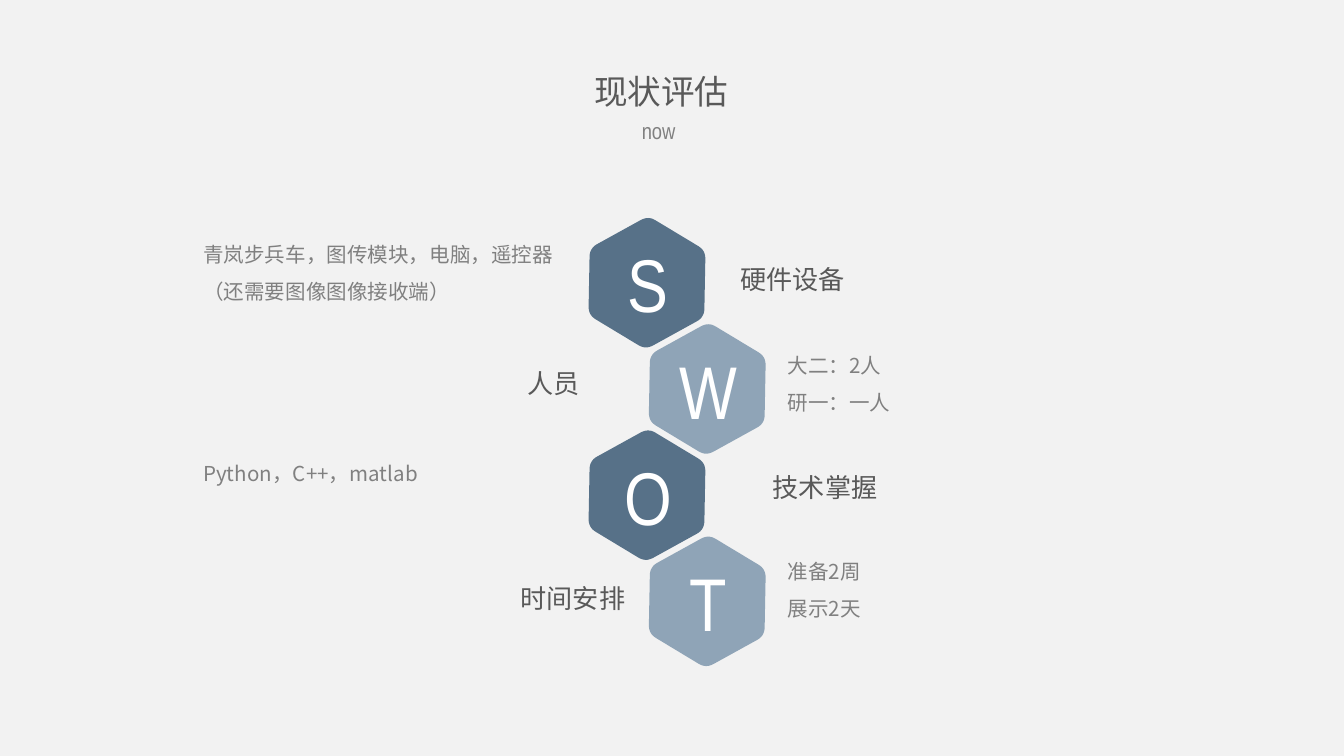
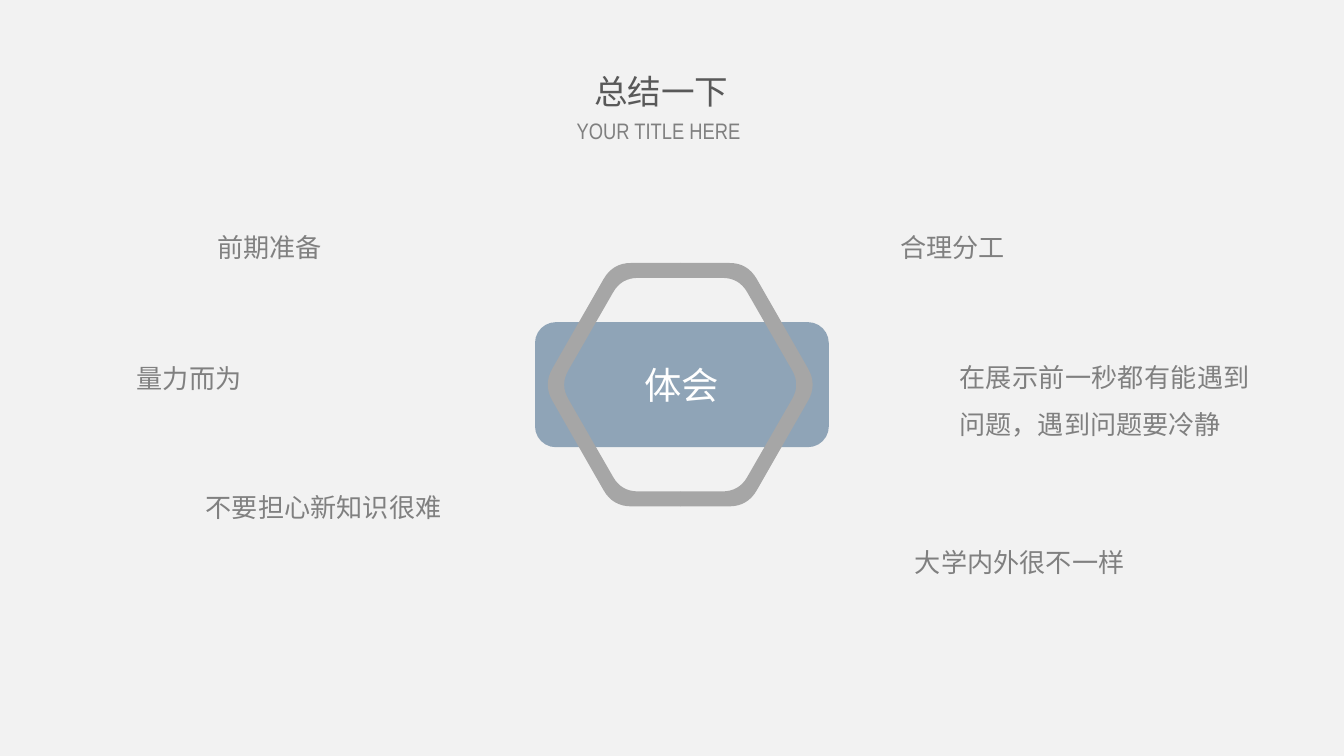
import math

import pptx
import pptx.dml.color
import pptx.enum.shapes
import pptx.enum.text
import pptx.oxml.ns
import pptx.util
from lxml import etree

Pt = pptx.util.Pt
RGB = pptx.dml.color.RGBColor
ALIGN = pptx.enum.text.PP_ALIGN
ANCHOR = pptx.enum.text.MSO_ANCHOR
AUTO_SIZE = pptx.enum.text.MSO_AUTO_SIZE

PAPER = RGB(0xF2, 0xF2, 0xF2)
WHITE = RGB(0xFF, 0xFF, 0xFF)
DEEP_BLUE = RGB(0x57, 0x71, 0x88)
PALE_BLUE = RGB(0x8F, 0xA4, 0xB7)
RING_GREY = RGB(0xA6, 0xA6, 0xA6)
DARK_TEXT = RGB(0x59, 0x59, 0x59)
GREY_TEXT = RGB(0x80, 0x80, 0x80)

CJK = "Noto Sans CJK SC"
LATIN = "Arial"
NARROW = "Arial Narrow"

# Text styles: font name, size, colour, alignment, line spacing
TITLE = (LATIN, 18, DARK_TEXT, ALIGN.CENTER, 1)
SUBTITLE = (NARROW, 12, GREY_TEXT, ALIGN.CENTER, 1)
LETTER = (NARROW, 40, WHITE, ALIGN.CENTER, 1)
HEADING = (CJK, 14, DARK_TEXT, ALIGN.CENTER, 1)
DETAIL = (CJK, 11, GREY_TEXT, ALIGN.LEFT, 1.5)
LESSON = (LATIN, 14, GREY_TEXT, ALIGN.JUSTIFY, 1.5)
CORE = (LATIN, 20, WHITE, ALIGN.CENTER, 1)


def set_format(target, values):
    for attribute, value in values.items():
        setattr(target, attribute, value)


def place(part, box):
    set_format(part, dict(zip(("left", "top", "width", "height"), map(Pt, box))))


def write(part, text, style, anchor=ANCHOR.TOP, auto_size=AUTO_SIZE.SHAPE_TO_FIT_TEXT):
    """Fill a part with one styled paragraph per line of text."""
    name, size, colour, alignment, spacing = style
    frame = part.text_frame
    frame.text = text
    set_format(frame, {
        "word_wrap": True, "auto_size": auto_size, "vertical_anchor": anchor,
        "margin_left": Pt(7.2), "margin_right": Pt(7.2),
        "margin_top": Pt(3.6), "margin_bottom": Pt(3.6),
    })
    for paragraph in frame.paragraphs:
        set_format(paragraph, {"alignment": alignment, "line_spacing": spacing,
                               "space_before": Pt(0), "space_after": Pt(0)})
        for run in paragraph.runs:
            set_format(run.font, {"name": name, "size": Pt(size), "bold": False})
            run.font.color.rgb = colour
            east_asian = etree.SubElement(run.font._element, pptx.oxml.ns.qn("a:ea"))
            east_asian.set("typeface", CJK)


def add_text(shapes, box, text, style):
    write(shapes.add_textbox(*map(Pt, box)), text, style)


def paint(part, colour):
    part.shadow.inherit = False
    part.fill.solid()
    part.fill.fore_color.rgb = colour
    part.line.fill.background()


def rounded_outline(corners, steps=8):
    """Points of a closed outline whose (x, y, cut) corners become short curves."""
    points = []
    for i, (x, y, cut) in enumerate(corners):
        if not cut:
            points.append((x, y))
            continue
        ends = []
        for near_x, near_y, _ in (corners[i - 1], corners[(i + 1) % len(corners)]):
            share = cut / math.hypot(near_x - x, near_y - y)
            ends.append((x + (near_x - x) * share, y + (near_y - y) * share))
        (x0, y0), (x1, y1) = ends
        for step in range(steps + 1):
            t = step / steps
            a, b, c = (1 - t) ** 2, 2 * t * (1 - t), t ** 2
            points.append((a * x0 + b * x + c * x1, a * y0 + b * y + c * y1))
    return points


def add_outline(shapes, centre, corners, colour):
    start, *rest = [(Pt(x), Pt(y)) for x, y in rounded_outline(corners)]
    builder = shapes.build_freeform(*start, scale=1.0)
    builder.add_line_segments(rest, close=True)
    outline = builder.convert_to_shape(*map(Pt, centre))
    paint(outline, colour)
    return outline


def add_titled_slide(deck, title, subtitle, title_font):
    slide = deck.slides.add_slide(deck.slide_layouts[0])
    heading, caption = slide.placeholders
    place(heading, (273.6, 34.6, 161.3, 28.8))
    write(heading, title, (title_font,) + TITLE[1:])
    place(caption, (301, 59, 103.7, 21.6))
    write(caption, subtitle, SUBTITLE)
    return slide


def add_hexagon_badge(slide, centre, letter, colour):
    x, y = centre
    radius, cut = 35.8, 4.5
    corners = [(radius * math.cos(math.radians(angle)),
                radius * math.sin(math.radians(angle)), cut)
               for angle in range(0, 360, 60)]
    badge = slide.shapes.add_group_shape().shapes
    add_outline(badge, centre, corners, colour).rotation = 31.1
    add_text(badge, (x - 31.2, y - 27.4, 63.4, 55.4), letter, LETTER)


def add_swot_column(slide, left, top):
    """Zigzag of badges; left and top give the first badge's centre."""
    for i, letter in enumerate("SWOT"):
        shift = i % 2
        add_hexagon_badge(slide, (left + 32.3 * shift, top + 56.9 * i), letter,
                          PALE_BLUE if shift else DEEP_BLUE)


def add_core_ring(slide, box, text):
    left, top, width, height = box
    core = slide.shapes.add_shape(
        pptx.enum.shapes.MSO_SHAPE.ROUNDED_RECTANGLE, *map(Pt, box))
    paint(core, PALE_BLUE)
    write(core, text, CORE, ANCHOR.MIDDLE, AUTO_SIZE.NONE)

    def half_edge(side, tip, shoulder, rise, cut):
        return [(0, -rise, 0), (side * shoulder, -rise, cut), (side * tip, 0, cut),
                (side * shoulder, rise, cut), (0, rise, 0)]

    centre = (left + width / 2 - 0.9, top + height / 2)
    for side in (-1, 1):
        outer = half_edge(side, 73.4, 36.1, 65.2, 9.9)
        inner = half_edge(side, 64.4, 31.5, 57.2, 8.9)
        add_outline(slide.shapes, centre, outer + inner[::-1], RING_GREY)


def build_assessment(deck):
    slide = add_titled_slide(deck, "现状评估", "now", LATIN)
    add_swot_column(slide, 346.6, 151.5)
    headings = (
        ((372.4, 137.5, 104.4, 24.5), "硬件设备"),
        ((236.9, 193.4, 119.5, 24.5), "人员"),
        ((373.7, 249.1, 136.8, 24.5), "技术掌握"),
        ((247.2, 308.6, 119.5, 24.5), "时间安排"),
    )
    for box, text in headings:
        add_text(slide.shapes, box, text, HEADING)
    left_column, right_column, width = 101.8, 414.9, 219.6
    details = (
        (right_column, 178.9, 44.6, "大二：2人\n研一：一人"),
        (right_column, 289.4, 44.6, "准备2周\n展示2天"),
        (left_column, 236.9, 25.2, "Python，C++，matlab"),
        (left_column, 119.5, 44.6,
         "青岚步兵车，图传模块，电脑，遥控器（还需要图像图像接收端）"),
    )
    for left, top, height, text in details:
        add_text(slide.shapes, (left, top, width, height), text, DETAIL)


def build_summary(deck):
    slide = add_titled_slide(deck, "总结一下", "YOUR TITLE HERE", CJK)
    add_core_ring(slide, (286.6, 172.6, 157.4, 67), "体会")
    lessons = (
        (475.2, 111.9, 29.5, "合理分工"),
        (109.4, 111.9, 29.5, "前期准备"),
        (66.2, 182.2, 29.5, "量力而为"),
        (103.2, 251.3, 29.5, "不要担心新知识很难"),
        (506.9, 181.7, 55.4, "在展示前一秒都有能遇到问题，遇到问题要冷静"),
        (483.1, 280.8, 29.5, "大学内外很不一样"),
    )
    for left, top, height, text in lessons:
        add_text(slide.shapes, (left, top, 169.9, height), text, LESSON)


def main():
    deck = pptx.Presentation()
    set_format(deck, {"slide_width": Pt(720), "slide_height": Pt(405)})
    backdrop = deck.slide_master.background.fill
    backdrop.solid()
    backdrop.fore_color.rgb = PAPER
    build_assessment(deck)
    build_summary(deck)
    deck.save("out.pptx")


if __name__ == "__main__":
    main()
